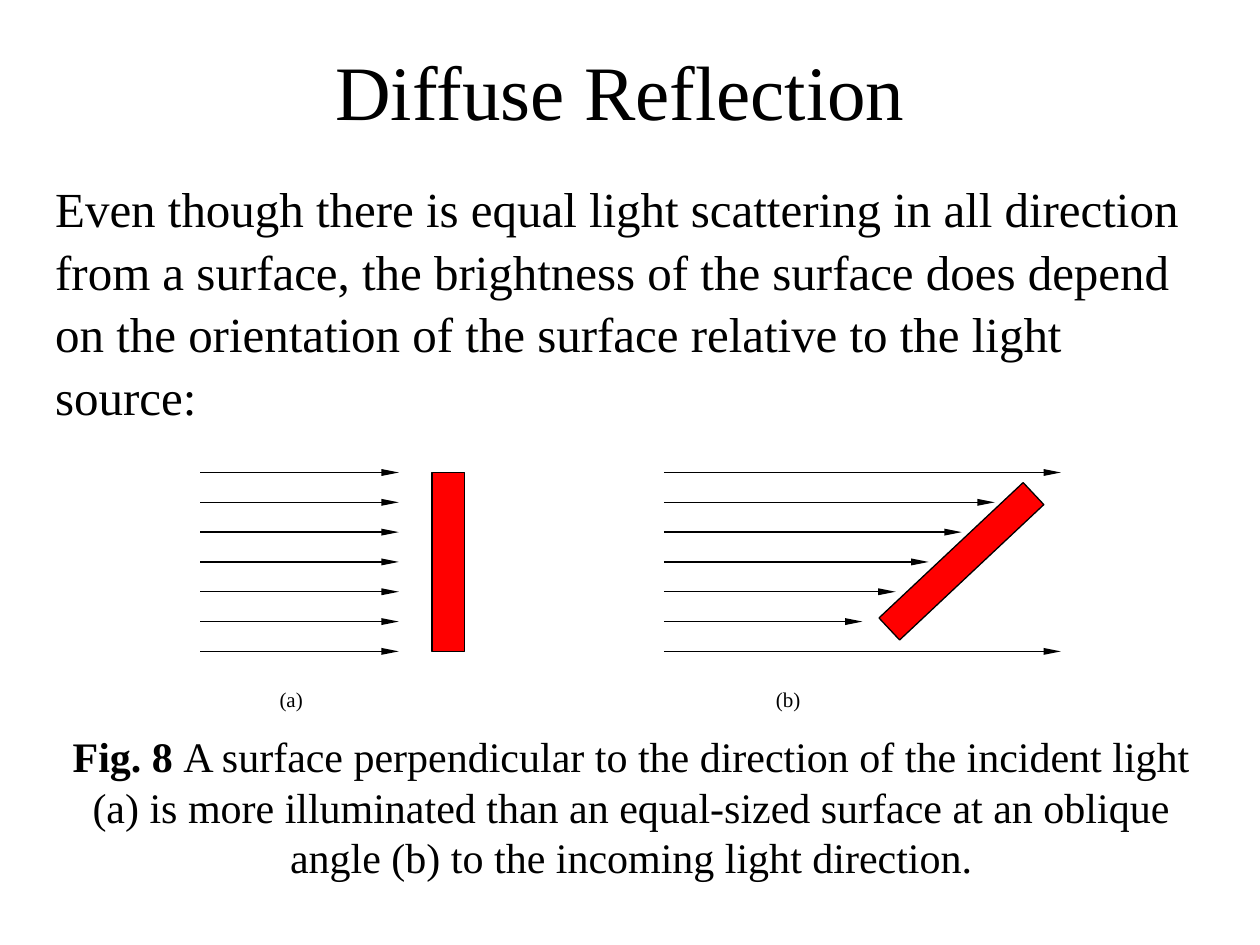
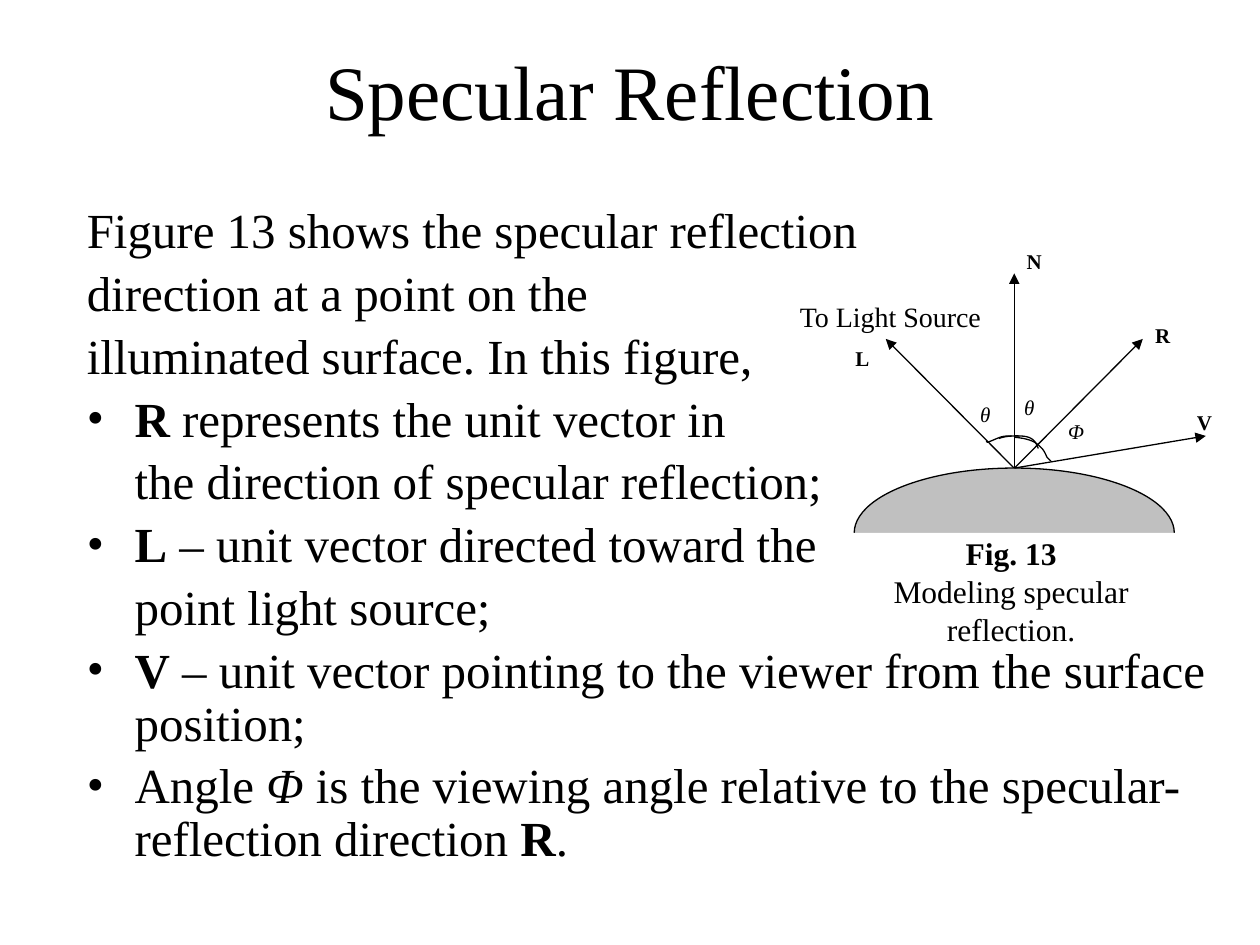
from lxml import etree
from pptx import Presentation
from pptx import util as u
from pptx.dml.color import RGBColor
from pptx.enum import shapes, text
from pptx.oxml import ns

COLOURS = {"ink": "000000", "surface": "FF0000", "dome": "C0C0C0", "paper": "FFFFFF"}
FONT = "Times New Roman"
TITLE_BOX = (0.75, 0.09, 8.5, 1.25)
LINE_WIDTH = u.Pt(0.75)
BULLET_INDENT = u.Inches(0.38)
CENTER = text.PP_ALIGN.CENTER

# Grid of the light rays on the diffuse slide
RAY_TOP = 3.75
SURFACE_HEIGHT = 1.42
RAY_COLUMN = 3.15 / 12
RAY_ROW = SURFACE_HEIGHT / 6

# Dome of the specular slide
DOME_X, DOME_Y = 8.05, 4.23
DOME_WIDTH, DOME_HEIGHT = 2.54, 1.03


def inches(values):
    return [u.Inches(value) for value in values]


def colour(name):
    return RGBColor.from_string(COLOURS[name])


def set_font(paragraph, size):
    paragraph.font.name = FONT
    paragraph.font.size = u.Pt(size)
    paragraph.font.color.rgb = colour("ink")


def add_titled_slide(presentation, title):
    slide = presentation.slides.add_slide(presentation.slide_layouts[5])
    shape = slide.shapes.title
    shape.left, shape.top, shape.width, shape.height = inches(TITLE_BOX)
    shape.text_frame.text = title
    shape.text_frame.vertical_anchor = text.MSO_ANCHOR.MIDDLE
    paragraph = shape.text_frame.paragraphs[0]
    paragraph.alignment = CENTER
    set_font(paragraph, 44)
    return slide


def add_runs(paragraph, runs):
    """Add runs given as strings, or as (string, "b" or "i") pairs."""
    for item in runs:
        words, style = (item, "") if isinstance(item, str) else item
        run = paragraph.add_run()
        run.text = words
        if style == "b":
            run.font.bold = True
        elif style == "i":
            run.font.italic = True


def add_text(slide, box, paragraphs, size, align=None):
    frame = slide.shapes.add_textbox(*inches(box)).text_frame
    frame.word_wrap = True
    for index, runs in enumerate(paragraphs):
        paragraph = frame.paragraphs[0] if index == 0 else frame.add_paragraph()
        add_runs(paragraph, runs)
        paragraph.alignment = align
        set_font(paragraph, size)
    return frame


def set_indent(paragraph, bulleted):
    properties = paragraph._p.get_or_add_pPr()
    properties.set("marL", str(BULLET_INDENT))
    properties.set("indent", str(-BULLET_INDENT if bulleted else 0))
    if bulleted:
        for tag, attributes in (("a:buFont", {"typeface": FONT}),
                                ("a:buChar", {"char": "•"})):
            element = etree.Element(ns.qn(tag), attributes)
            properties.insert_element_before(element, "a:tabLst", "a:defRPr", "a:extLst")


def add_body(slide, box, lines):
    """Add body lines given as (kind, runs), kind being plain, bullet or continued."""
    frame = add_text(slide, box, [runs for _, runs in lines], 28)
    for index, (paragraph, (kind, _)) in enumerate(zip(frame.paragraphs, lines)):
        paragraph.line_spacing = 0.9
        paragraph.space_before = u.Pt(5.6 if index else 0)
        if kind != "plain":
            set_indent(paragraph, kind == "bullet")


def add_filled(slide, kind, box, fill, outlined=True):
    shape = slide.shapes.add_shape(kind, *inches(box))
    shape.shadow.inherit = False
    shape.fill.solid()
    shape.fill.fore_color.rgb = colour(fill)
    if outlined:
        set_outline(shape)
    else:
        shape.line.fill.background()
    return shape


def set_outline(shape):
    shape.line.color.rgb = colour("ink")
    shape.line.width = LINE_WIDTH


def add_arrow(slide, start, end, head_width="med", head_length="med"):
    arrow = slide.shapes.add_connector(
        shapes.MSO_CONNECTOR.STRAIGHT, *inches((*start, *end)))
    set_outline(arrow)
    etree.SubElement(arrow.line._get_or_add_ln(), ns.qn("a:tailEnd"),
                     type="triangle", w=head_width, len=head_length)
    etree.SubElement(arrow._element.spPr, ns.qn("a:effectLst"))


def bezier_point(p0, p1, p2, p3, t):
    s = 1 - t
    return tuple(s**3 * a + 3 * s * s * t * b + 3 * s * t * t * c + t**3 * d
                 for a, b, c, d in zip(p0, p1, p2, p3))


def add_curve(slide, points, steps=10):
    """Draw joined cubic curves: a start, then two controls and an end for each."""
    traced = [inches(bezier_point(*points[first:first + 4], step / steps))
              for first in range(0, len(points) - 1, 3)
              for step in range(1, steps + 1)]
    builder = slide.shapes.build_freeform(*inches(points[0]))
    builder.add_line_segments(traced, close=False)
    curve = builder.convert_to_shape()
    curve.shadow.inherit = False
    curve.fill.background()
    set_outline(curve)


def add_rays(slide, left, columns):
    for row, length in enumerate(columns):
        y = RAY_TOP + row * RAY_ROW
        add_arrow(slide, (left, y), (left + length * RAY_COLUMN, y), "sm", "lg")


def build_diffuse_slide(presentation):
    slide = add_titled_slide(presentation, "Diffuse Reflection ")
    add_body(slide, (0.34, 1.42, 9.33, 1.58), [
        ("plain", ["Even though there is equal light scattering in all direction"]),
        ("plain", ["from a surface, the brightness of the surface does depend"]),
        ("plain", ["on the orientation of the surface relative to the light"]),
        ("plain", ["source:"]),
    ])
    rectangle = shapes.MSO_SHAPE.RECTANGLE
    add_filled(slide, rectangle, (3.43, RAY_TOP, 0.26, SURFACE_HEIGHT), "surface")
    add_rays(slide, 1.59, [6] * 7)
    oblique = add_filled(slide, rectangle, (7.51, 3.67, 0.24, 1.57), "surface")
    oblique.rotation = 46.8
    add_rays(slide, 5.27, [12, 10, 9, 8, 7, 6, 12])
    for label, left in (("(a)", 2.12), ("(b)", 6.06)):
        add_text(slide, (left, 5.4, 1.05, 0.71), [[label]], 12)
    add_text(slide, (0.42, 5.75, 9.18, 1.29), [[
        ("Fig. 8 ", "b"),
        "A surface perpendicular to the direction of the incident light (a) is more "
        "illuminated than an equal-sized surface at an oblique angle (b) to the "
        "incoming light direction.",
    ]], 24, CENTER)


def add_dome(slide):
    add_filled(slide, shapes.MSO_SHAPE.OVAL,
               (DOME_X - DOME_WIDTH / 2, DOME_Y - DOME_HEIGHT / 2,
                DOME_WIDTH, DOME_HEIGHT), "dome")
    add_filled(slide, shapes.MSO_SHAPE.RECTANGLE,
               (6.52, DOME_Y, 3.05, 0.77), "paper", outlined=False)


def add_angle_arcs(slide):
    add_curve(slide, [(8.24, 3.56), (8.21, 3.46), (8.14, 3.46), (8.05, 3.46)])
    add_curve(slide, [(7.93, 3.48), (7.98, 3.46), (8.04, 3.46), (8.09, 3.46)])
    add_curve(slide, [(8.05, 3.47), (8.14, 3.48), (8.21, 3.49), (8.27, 3.56),
                      (8.29, 3.58), (8.3, 3.61), (8.31, 3.63),
                      (8.32, 3.64), (8.34, 3.66), (8.34, 3.66)])
    add_curve(slide, [(8.03, 3.46), (8, 3.46), (7.97, 3.46), (7.94, 3.47),
                      (7.91, 3.48), (7.87, 3.5), (7.84, 3.51),
                      (7.83, 3.51), (7.83, 3.5), (7.83, 3.5)])


def build_specular_slide(presentation):
    slide = add_titled_slide(presentation, "Specular Reflection")
    add_body(slide, (0.59, 1.59, 9.41, 4.5), [
        ("plain", ["Figure 13 shows the specular reflection"]),
        ("plain", ["direction at a point on the"]),
        ("plain", ["illuminated surface. In this figure,"]),
        ("bullet", [("R", "b"), " represents the unit vector in"]),
        ("continued", ["the direction of specular reflection;"]),
        ("bullet", [("L", "b"), " – unit vector directed toward the"]),
        ("continued", ["point light source;"]),
        ("bullet", [("V", "b"),
                    " – unit vector pointing to the viewer from the surface position;"]),
        ("bullet", ["Angle ", ("Φ", "i"),
                    " is the viewing angle relative to the specular-reflection direction ",
                    ("R", "b"), "."]),
    ])
    for side in (1, -1):
        add_arrow(slide, (DOME_X - side * 0.51, DOME_Y), (DOME_X + side * 1.02, 2.69))
    add_arrow(slide, (DOME_X, DOME_Y), (DOME_X, 2.17))
    add_dome(slide)
    add_arrow(slide, (DOME_X, DOME_Y - DOME_HEIGHT / 2), (9.57, 3.46))
    add_angle_arcs(slide)
    add_text(slide, (6.63, 4.19, 2.79, 0.63),
             [[("Fig. 13", "b")], ["Modeling specular reflection."]], 18, CENTER)
    add_text(slide, (6.25, 2.33, 1.78, 0.42), [["To Light Source"]], 16)
    labels = [
        ("N", "b", 8.05, 1.92), ("L", "b", 6.69, 2.69), ("R", "b", 9.07, 2.51),
        ("V", "b", 9.4, 3.2), ("θ", "i", 7.68, 3.14), ("θ", "i", 8.03, 3.08),
        ("Φ", "i", 8.38, 3.27),
    ]
    for label, style, left, top in labels:
        add_text(slide, (left, top, 0.44, 0.31), [[(label, style)]], 12)


def main():
    presentation = Presentation()
    presentation.slide_width, presentation.slide_height = inches((10, 7.5))
    build_diffuse_slide(presentation)
    build_specular_slide(presentation)
    presentation.save("out.pptx")


if __name__ == "__main__":
    main()
